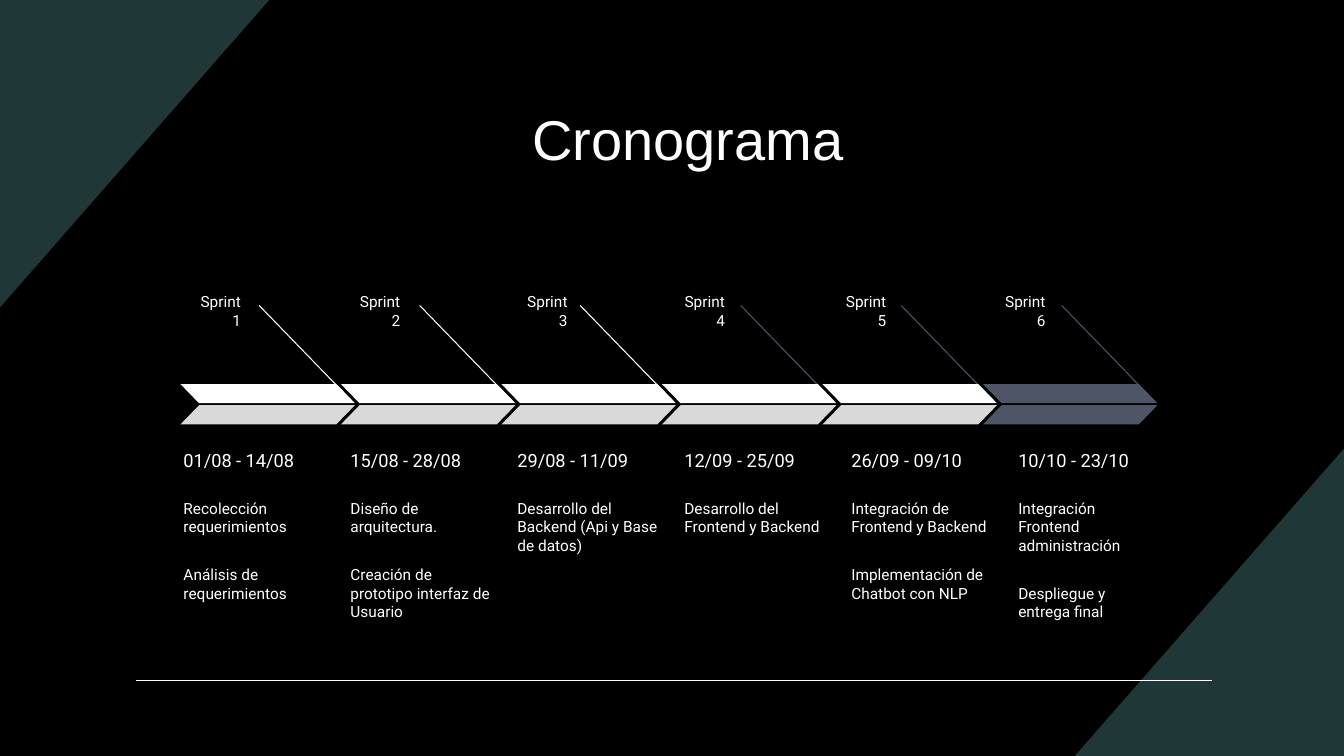
from lxml import etree
from pptx import Presentation
from pptx.dml.color import RGBColor
from pptx.enum.shapes import MSO_CONNECTOR, MSO_SHAPE
from pptx.enum.text import MSO_ANCHOR as Anchor, PP_ALIGN as Align
from pptx.oxml.ns import qn
from pptx.util import Inches, Pt

BLACK, WHITE, GRAY, SLATE, TEAL = "000000", "FFFFFF", "D9D9D9", "4E5567", "1F3837"

TITLE = "Cronograma"
# label, label left, dates, tasks, pointer colour, upper band, lower band
SPRINTS = [
    ("Sprint 1", 1.74, "01/08 - 14/08",
     ["Recolección requerimientos", "Análisis de requerimientos"], WHITE, WHITE, GRAY),
    ("Sprint 2", 3.32, "15/08 - 28/08",
     ["Diseño de arquitectura.", "Creación de prototipo interfaz de Usuario"],
     WHITE, WHITE, GRAY),
    ("Sprint 3", 4.98, "29/08 - 11/09",
     ["Desarrollo del Backend (Api y Base de datos)"], WHITE, WHITE, GRAY),
    ("Sprint 4", 6.54, "12/09 - 25/09",
     ["Desarrollo del Frontend y Backend"], SLATE, WHITE, GRAY),
    ("Sprint 5", 8.14, "26/09 - 09/10",
     ["Integración de Frontend y Backend", "Implementación de Chatbot con NLP"],
     SLATE, WHITE, GRAY),
    ("Sprint 6", 9.72, "10/10 - 23/10",
     ["Integración Frontend administración", "Despliegue y entrega final"],
     SLATE, SLATE, SLATE),
]
CORNERS = [
    [(13.33, 4.45), (13.33, 7.5), (10.66, 7.5)],
    [(0, 3.05), (0, 0), (2.67, 0)],
]
ARROW_LEFT, ARROW_STEP, ARROW_WIDTH, BAND_HEIGHT = 1.79, 1.592, 1.73, 0.19
COLUMN_LEFT, COLUMN_STEP = 1.69, 1.656

deck = Presentation()
deck.slide_width, deck.slide_height = Inches(13.33), Inches(7.5)
page = deck.slides.add_slide(deck.slide_layouts[6])


def paint(fill, color):
    fill.solid()
    fill.fore_color.rgb = RGBColor.from_string(color)


def finish(shape, color):
    paint(shape.fill, color)
    shape.line.fill.background()
    shape.shadow.inherit = False


def add_corner(points):
    start, *others = [(Inches(x), Inches(y)) for x, y in points]
    builder = page.shapes.build_freeform(*start)
    builder.add_line_segments(others, close=True)
    finish(builder.convert_to_shape(), TEAL)


def add_line(start, end, color, width):
    line = page.shapes.add_connector(
        MSO_CONNECTOR.STRAIGHT, *[Inches(value) for value in (*start, *end)])
    paint(line.line.fill, color)
    line.line.width = Pt(width)
    etree.SubElement(line._element.spPr, qn("a:effectLst"))


def add_band(left, top, color, flipped=False):
    band = page.shapes.add_shape(
        MSO_SHAPE.PARALLELOGRAM, Inches(left), Inches(top),
        Inches(ARROW_WIDTH), Inches(BAND_HEIGHT))
    band.adjustments[0] = 0.97
    if flipped:
        band._element.spPr.xfrm.set("flipH", "1")
    finish(band, color)


def add_text(place, texts, size, font="Roboto", align=Align.LEFT,
             anchor=Anchor.TOP, inset=0.13):
    box = page.shapes.add_textbox(*[Inches(value) for value in place])
    frame = box.text_frame
    frame.word_wrap = True
    frame.vertical_anchor = anchor
    frame.margin_left = frame.margin_right = Inches(inset)
    frame.margin_top = frame.margin_bottom = Inches(inset)
    for index, text in enumerate(texts):
        para = frame.add_paragraph() if index else frame.paragraphs[0]
        para.text = text
        para.alignment = align
        para.space_before = Pt(21 if index else 0)
        para.font.name = font
        para.font.size = Pt(size)
        para.font.color.rgb = RGBColor.from_string(WHITE)


paint(page.background.fill, BLACK)
for corner in CORNERS:
    add_corner(corner)
add_line((1.35, 6.75), (12.02, 6.75), WHITE, 1)
add_text((1.69, 0.71, 10.26, 1.33), [TITLE], 40, "Arial", Align.CENTER,
         Anchor.MIDDLE, inset=0.1)

for index, (label, label_left, dates, tasks, pointer, upper, lower) in enumerate(SPRINTS):
    arrow = ARROW_LEFT + index * ARROW_STEP
    column = COLUMN_LEFT + index * COLUMN_STEP
    add_line((arrow + 0.78, 3.03), (arrow + 1.71, 3.99), pointer, 0.75)
    add_band(arrow, 3.81, upper, flipped=True)
    add_band(arrow, 4.02, lower)
    add_text((label_left, 2.77, 0.78, 0.31), [label], 11, align=Align.RIGHT)
    add_text((column, 4.27, 1.66, 0.59), [dates], 13, anchor=Anchor.MIDDLE)
    add_text((column, 4.82, 1.66, 0.97), tasks, 11)

deck.save("out.pptx")
